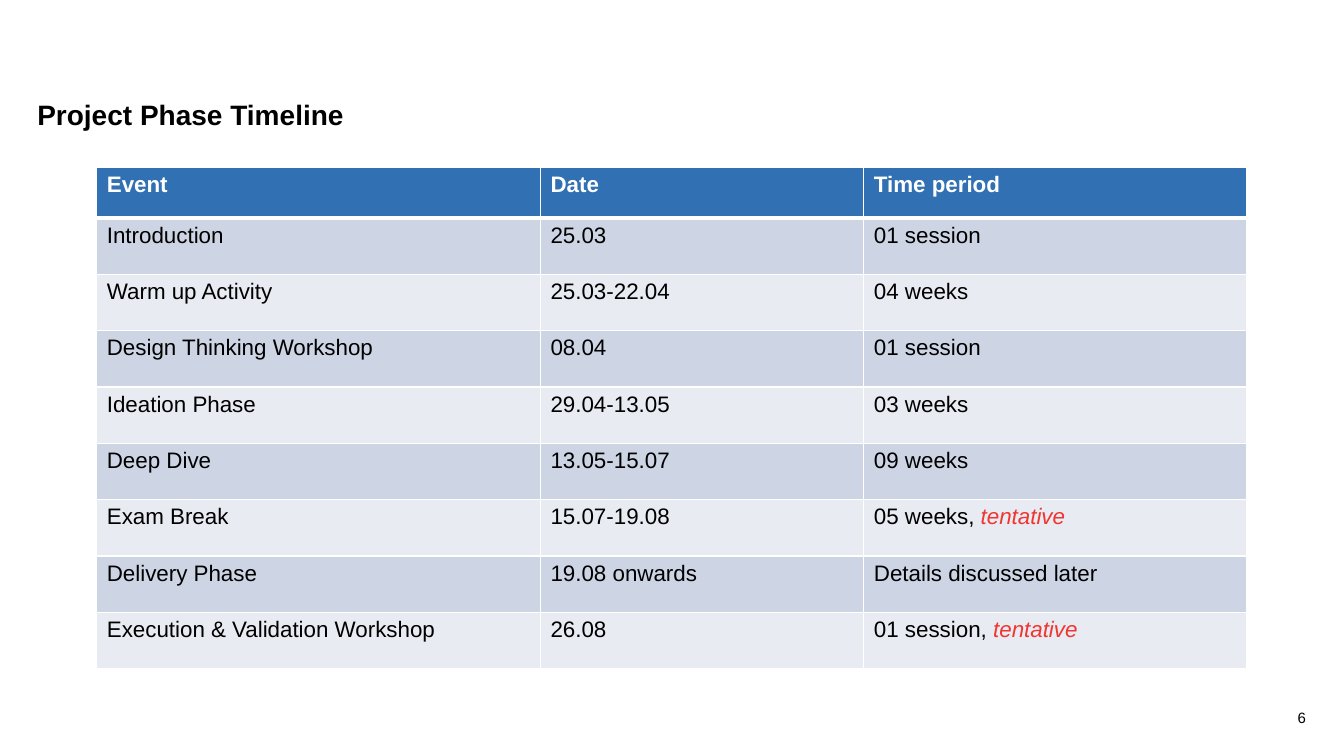
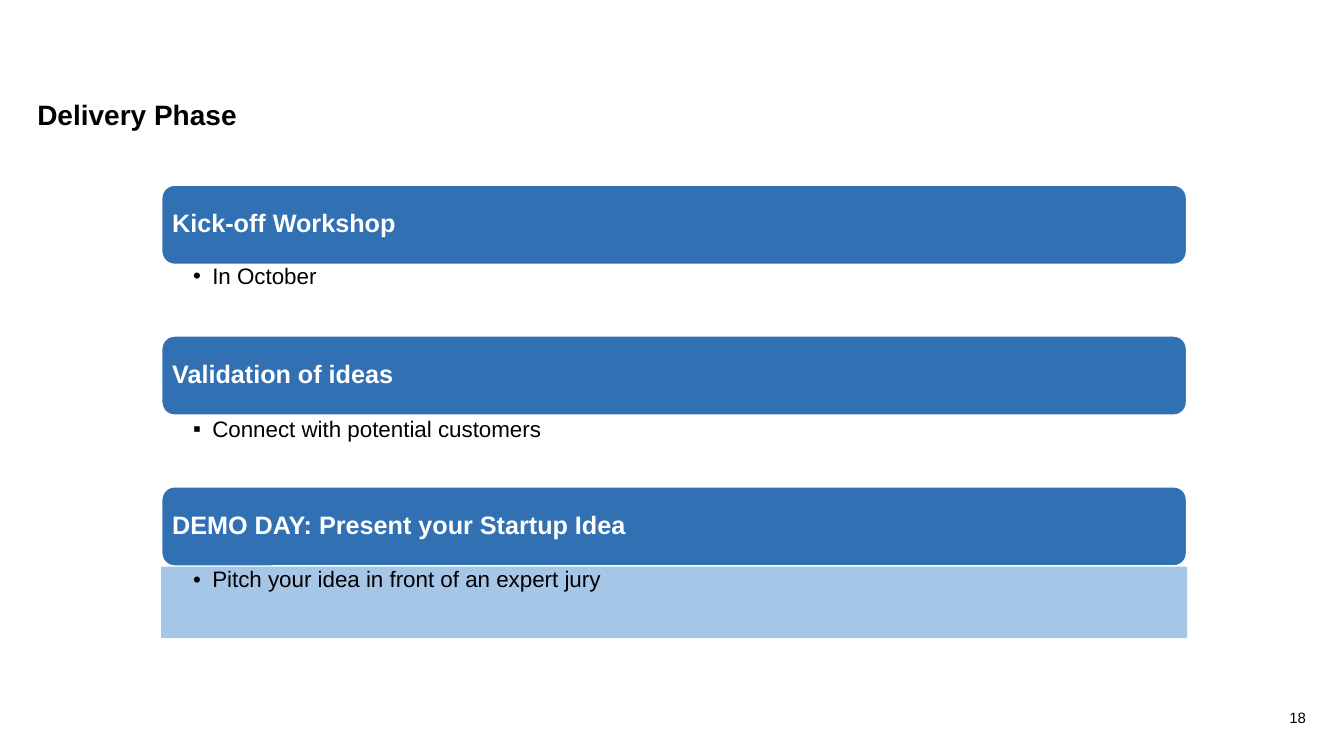
from dataclasses import dataclass
from typing import NamedTuple

from lxml.etree import SubElement
from pptx import Presentation
from pptx.dml.color import RGBColor
from pptx.enum.shapes import MSO_SHAPE as Shape
from pptx.enum.text import MSO_ANCHOR as Anchor, PP_ALIGN as Align
from pptx.oxml.ns import qn
from pptx.util import Cm, Pt

# Shared style
FONT = "Arial"
BLACK, WHITE, RED = "000000", "FFFFFF", "F03631"
BLUE, LIGHT_BLUE = "3070B3", "A6C6E7"
BANDS = ("E8EBF2", "CDD5E5")


class Area(NamedTuple):
    left: float
    top: float
    width: float
    height: float

    def lengths(self) -> list:
        return [Cm(value) for value in self]


class Insets(NamedTuple):
    left: float = 0
    top: float = 0
    right: float = 0
    bottom: float = 0


@dataclass(frozen=True)
class Event:
    name: str
    date: str
    period: str
    note: str = ""


@dataclass(frozen=True)
class Step:
    heading: str
    detail: str
    bullet: str = "•"
    overlap: float = 0
    fill: str = ""


# Content
TITLE_AREA = Area(0.94, 2.24, 26.47, 0.97)
NUMBER_AREA = Area(25.32, 17.5, 7.59, 0.81)

COLUMN_WIDTHS = (11.18, 8.15, 9.65)
HEADER_HEIGHT, ROW_HEIGHT = 1.27, 1.42
HEADER = Event("Event", "Date", "Time period")
EVENTS = (
    Event("Introduction", "25.03", "01 session"),
    Event("Warm up Activity", "25.03-22.04", "04 weeks"),
    Event("Design Thinking Workshop", "08.04", "01 session"),
    Event("Ideation Phase", "29.04-13.05", "03 weeks"),
    Event("Deep Dive", "13.05-15.07", "09 weeks"),
    Event("Exam Break", "15.07-19.08", "05 weeks, ", "tentative"),
    Event("Delivery Phase", "19.08 onwards", "Details discussed later"),
    Event("Execution & Validation Workshop", "26.08", "01 session, ", "tentative"),
)

STEP_LEFT, STEP_TOP, STEP_WIDTH = 4.06, 4.65, 25.86
STEP_PITCH, BAR_HEIGHT, DETAIL_HEIGHT = 3.8, 2.03, 1.8
STEPS = (
    Step("Kick-off Workshop", "In October", overlap=0.05),
    Step("Validation of ideas", "Connect with potential customers", bullet="▪"),
    Step("DEMO DAY: Present your Startup Idea",
         "Pitch your idea in front of an expert jury", fill=LIGHT_BLUE),
)


# Helpers
def color(value: str) -> RGBColor:
    return RGBColor.from_string(value)


def fill_with(target, value: str) -> None:
    target.fill.solid()
    target.fill.fore_color.rgb = color(value)


def style(para, size: float, value: str = BLACK, bold: bool = False) -> None:
    font = para.font
    font.name, font.size, font.bold = FONT, Pt(size), bold
    font.color.rgb = color(value)


def write(shape, text: str, insets: Insets = Insets(),
          anchor: Anchor = Anchor.TOP, align: Align = Align.LEFT,
          spacing: float = 1.0):
    frame = shape.text_frame
    frame.word_wrap = True
    frame.vertical_anchor = anchor
    frame.margin_left, frame.margin_top, frame.margin_right, frame.margin_bottom = (
        Cm(inset) for inset in insets)
    para = frame.paragraphs[0]
    para.text, para.alignment, para.line_spacing = text, align, spacing
    return para


def add_bullet(para, character: str) -> None:
    para.level = 1
    properties = para._p.get_or_add_pPr()
    properties.set("marL", str(Cm(0.48)))
    properties.set("indent", str(-Cm(0.48)))
    SubElement(properties, qn("a:buFont"), typeface=FONT)
    SubElement(properties, qn("a:buChar"), char=character)


def set_borders(cell, top: float, bottom: float) -> None:
    properties = cell._tc.get_or_add_tcPr()
    for side, width in (("L", 1), ("R", 1), ("T", top), ("B", bottom)):
        line = SubElement(properties, qn(f"a:ln{side}"), w=str(Pt(width)))
        SubElement(SubElement(line, qn("a:solidFill")), qn("a:srgbClr"), val=WHITE)


def add_page(deck, title: str, number: int):
    page = deck.slides.add_slide(deck.slide_layouts[6])
    box = page.shapes.add_textbox(*NUMBER_AREA.lengths())
    style(write(box, str(number), anchor=Anchor.BOTTOM, align=Align.RIGHT), 10.7)
    box = page.shapes.add_textbox(*TITLE_AREA.lengths())
    style(write(box, title, spacing=1.25), 20, bold=True)
    return page


# Timeline table
def add_timeline(page, events: tuple[Event, ...]) -> None:
    rows = (HEADER, *events)
    area = Area(2.44, 4.22, sum(COLUMN_WIDTHS),
                HEADER_HEIGHT + ROW_HEIGHT * len(events))
    table = page.shapes.add_table(
        len(rows), len(COLUMN_WIDTHS), *area.lengths()).table
    for column, width in zip(table.columns, COLUMN_WIDTHS):
        column.width = Cm(width)
    for index, event in enumerate(rows):
        is_header = index == 0
        table.rows[index].height = Cm(HEADER_HEIGHT if is_header else ROW_HEIGHT)
        cells = table.rows[index].cells
        for cell, text in zip(cells, (event.name, event.date, event.period)):
            set_borders(cell, top=3 if index == 1 else 1,
                        bottom=3 if is_header else 1)
            fill_with(cell, BLUE if is_header else BANDS[index % 2])
            para = cell.text_frame.paragraphs[0]
            para.text = text
            style(para, 16, WHITE if is_header else BLACK, bold=is_header)
        if event.note:
            span = cells[2].text_frame.paragraphs[0].add_run()
            span.text = event.note
            span.font.italic = True
            span.font.color.rgb = color(RED)


# Delivery steps
def add_step(page, step: Step, top: float) -> None:
    area = Area(STEP_LEFT, top, STEP_WIDTH, BAR_HEIGHT)
    bar = page.shapes.add_shape(Shape.ROUNDED_RECTANGLE, *area.lengths())
    bar.shadow.inherit = False
    fill_with(bar, BLUE)
    bar.line.color.rgb = color(WHITE)
    bar.line.width = Pt(2)
    para = write(bar, step.heading, Insets(0.18, 0.18, 0.18, 0.18),
                 Anchor.MIDDLE, spacing=0.9)
    style(para, 18, WHITE, bold=True)

    area = Area(STEP_LEFT, top + BAR_HEIGHT - step.overlap,
                STEP_WIDTH, DETAIL_HEIGHT)
    box = page.shapes.add_textbox(*area.lengths())
    if step.fill:
        fill_with(box, step.fill)
    para = write(box, step.detail, Insets(0.81, 0.05, 0.3, 0.05), spacing=0.9)
    add_bullet(para, step.bullet)
    style(para, 16)


def main() -> None:
    deck = Presentation()
    deck.slide_width, deck.slide_height = Cm(33.87), Cm(19.05)

    add_timeline(add_page(deck, "Project Phase Timeline", 6), EVENTS)

    page = add_page(deck, "Delivery Phase", 18)
    for index, step in enumerate(STEPS):
        add_step(page, step, STEP_TOP + index * STEP_PITCH)

    deck.save("out.pptx")


if __name__ == "__main__":
    main()
